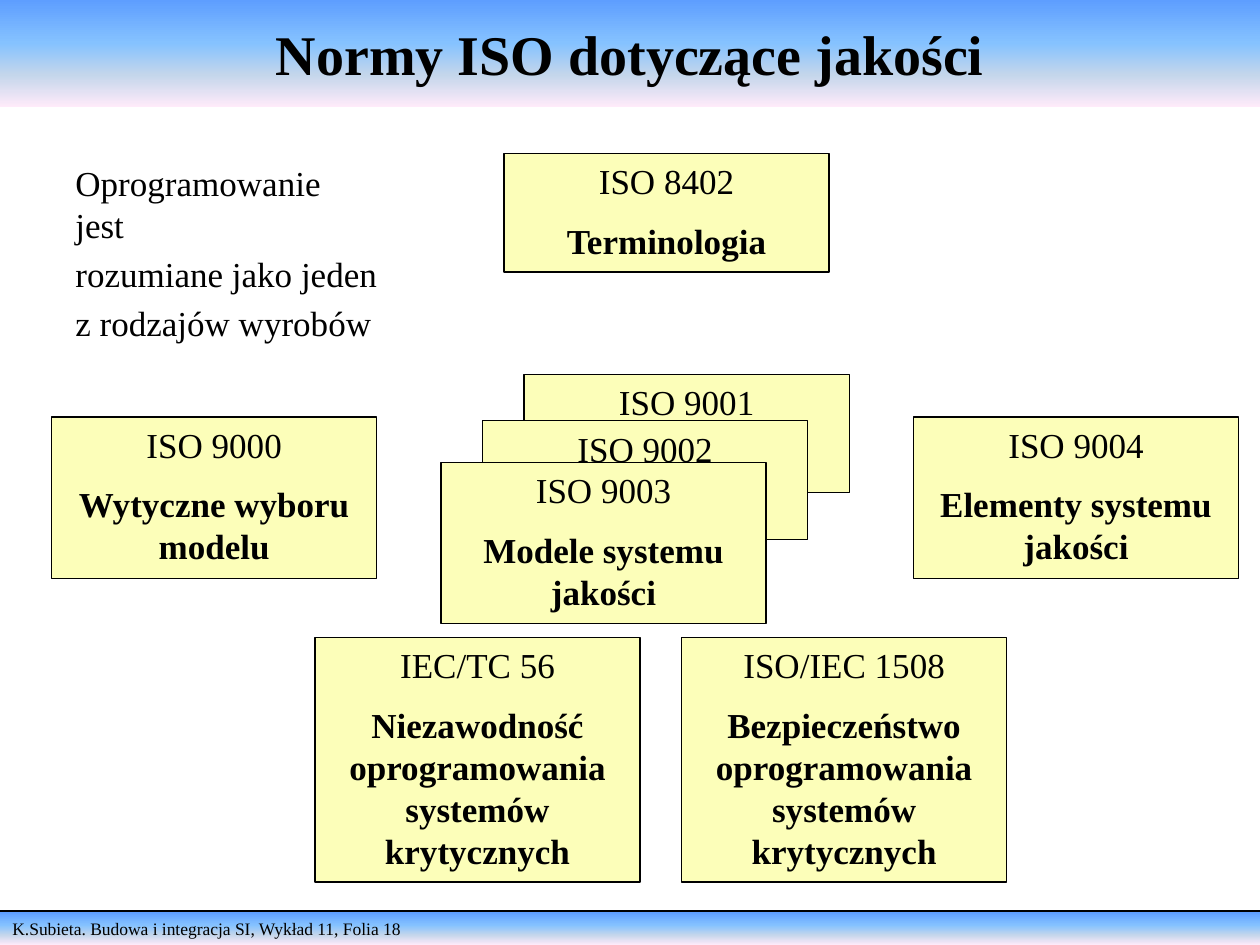
from dataclasses import dataclass

from lxml.etree import SubElement
from pptx import Presentation
from pptx.dml.color import RGBColor
from pptx.enum.shapes import MSO_CONNECTOR, MSO_SHAPE
from pptx.enum.text import MSO_ANCHOR, PP_ALIGN
from pptx.oxml.ns import qn
from pptx.util import Inches, Pt

FONT = "Times New Roman"
BLACK = RGBColor(0x00, 0x00, 0x00)
CREAM = RGBColor(0xFC, 0xFE, 0xB9)
SKY_STOPS = (
    (0, RGBColor(0x5E, 0x9E, 0xFF)),
    (40, RGBColor(0x85, 0xC2, 0xFF)),
    (70, RGBColor(0xC4, 0xD6, 0xEB)),
    (100, RGBColor(0xFF, 0xEB, 0xFA)),
)
SLIDE_WIDTH = 10
CARD_WIDTH = 2.58


@dataclass(frozen=True)
class Standard:
    left: float
    top: float
    height: float
    code: str
    subject: str = ""


STANDARDS = (
    Standard(4.16, 2.97, 0.94, "ISO 9001"),
    Standard(3.83, 3.34, 0.94, "ISO 9002"),
    Standard(3.5, 3.67, 1.28, "ISO 9003", "Modele systemu jakości"),
    Standard(7.25, 3.31, 1.28, "ISO 9004", "Elementy systemu jakości"),
    Standard(0.41, 3.31, 1.28, "ISO 9000", "Wytyczne wyboru modelu"),
    Standard(4, 1.22, 0.94, "ISO 8402", "Terminologia"),
    Standard(5.41, 5.06, 1.94, "ISO/IEC 1508",
             "Bezpieczeństwo oprogramowania systemów krytycznych"),
    Standard(2.5, 5.06, 1.94, "IEC/TC 56",
             "Niezawodność oprogramowania systemów krytycznych"),
)
REMARK = ("Oprogramowanie\vjest", "rozumiane jako jeden", "z rodzajów wyrobów")


def write(paragraph, text: str, size: float, bold: bool = False,
          align: PP_ALIGN = PP_ALIGN.LEFT, gap: float = 0) -> None:
    paragraph.text = text
    paragraph.alignment = align
    paragraph.space_before = Pt(gap)
    font = paragraph.font
    font.name, font.size, font.bold = FONT, Pt(size), bold
    font.color.rgb = BLACK


def add_box(slide, left: float, top: float, width: float, height: float):
    box = slide.shapes.add_shape(MSO_SHAPE.RECTANGLE, Inches(left), Inches(top),
                                 Inches(width), Inches(height))
    box.shadow.inherit = False
    box.text_frame.word_wrap = True
    return box


def add_band(slide, top: float, height: float):
    """Add a full-width bar with the vertical sky gradient."""
    band = add_box(slide, 0, top, SLIDE_WIDTH, height)
    band.line.fill.background()
    band.fill.gradient()
    band.fill.gradient_angle = 270
    stops = band.element.spPr.find(qn("a:gradFill")).find(qn("a:gsLst"))
    for stop in list(stops):
        stops.remove(stop)
    for percent, color in SKY_STOPS:
        stop = SubElement(stops, qn("a:gs"), pos=str(percent * 1000))
        SubElement(stop, qn("a:srgbClr"), val=str(color))
    return band


def add_standard(slide, standard: Standard) -> None:
    card = add_box(slide, standard.left, standard.top, CARD_WIDTH, standard.height)
    card.fill.solid()
    card.fill.fore_color.rgb = CREAM
    card.line.color.rgb = BLACK
    card.line.width = Pt(0.75)
    frame = card.text_frame
    frame.vertical_anchor = MSO_ANCHOR.TOP
    write(frame.paragraphs[0], standard.code, 20, align=PP_ALIGN.CENTER)
    if standard.subject:
        write(frame.add_paragraph(), standard.subject, 20, True, PP_ALIGN.CENTER, 10)


def add_footer(slide) -> None:
    footer = add_band(slide, 7.24, 0.26)
    footer.text_frame.vertical_anchor = MSO_ANCHOR.TOP
    write(footer.text_frame.paragraphs[0],
          "K.Subieta. Budowa i integracja SI, Wykład 11, Folia 18", 10)
    rule = slide.shapes.add_connector(MSO_CONNECTOR.STRAIGHT, 0, Inches(7.23),
                                      Inches(SLIDE_WIDTH), Inches(7.23))
    rule.line.color.rgb = BLACK
    rule.line.width = Pt(1)
    SubElement(rule.element.spPr, qn("a:effectLst"))


def add_title(slide) -> None:
    title = add_band(slide, 0, 0.85)
    title.text_frame.vertical_anchor = MSO_ANCHOR.MIDDLE
    write(title.text_frame.paragraphs[0], "Normy ISO dotyczące jakości", 32, True,
          PP_ALIGN.CENTER)


def add_remark(slide) -> None:
    remark = slide.shapes.add_textbox(Inches(0.5), Inches(1.23), Inches(2.6), Inches(1.23))
    frame = remark.text_frame
    frame.word_wrap = True
    frame.margin_right = 0
    for index, text in enumerate(REMARK):
        paragraph = frame.add_paragraph() if index else frame.paragraphs[0]
        write(paragraph, text, 20, gap=4)


def main() -> None:
    presentation = Presentation()
    presentation.slide_width = Inches(SLIDE_WIDTH)
    presentation.slide_height = Inches(7.5)
    slide = presentation.slides.add_slide(presentation.slide_layouts[6])
    add_footer(slide)
    add_title(slide)
    for standard in STANDARDS:
        add_standard(slide, standard)
    add_remark(slide)
    presentation.save("out.pptx")


if __name__ == "__main__":
    main()
